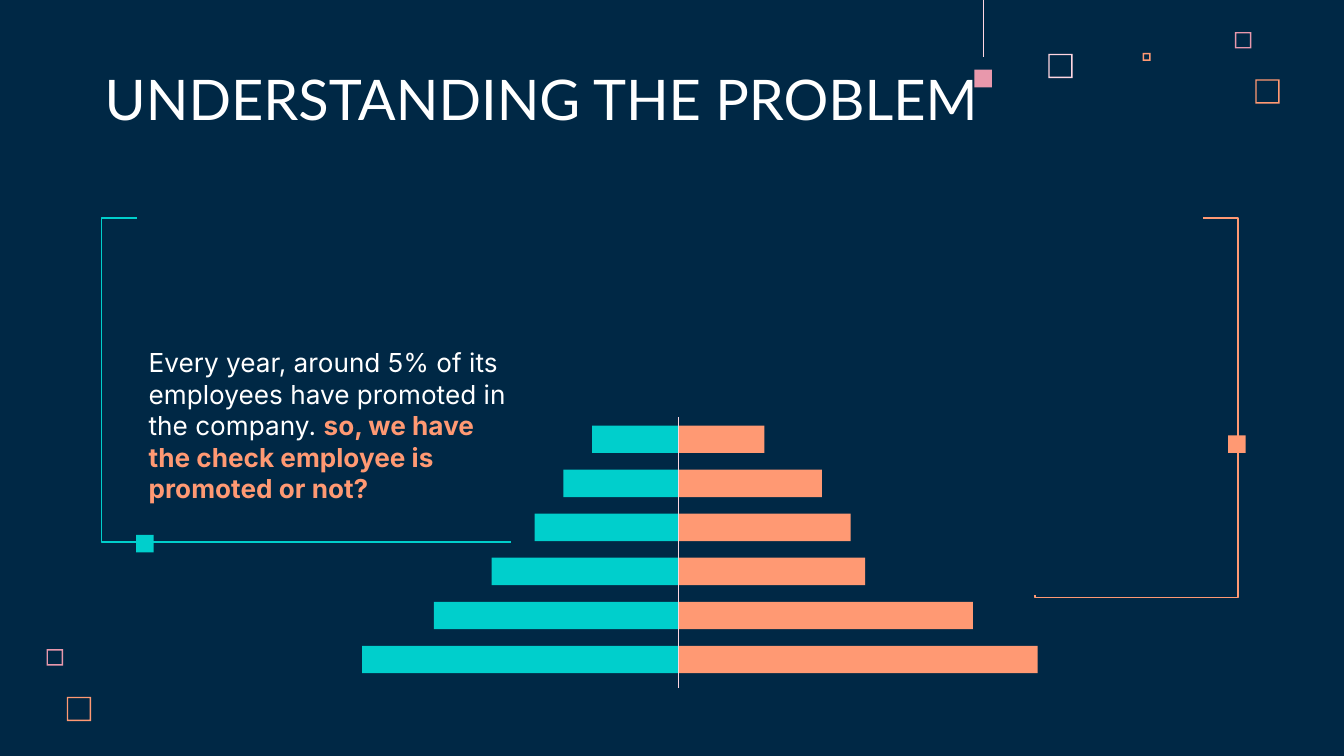
from dataclasses import dataclass

from pptx import Presentation
from pptx.dml.color import RGBColor
from pptx.enum.shapes import MSO_CONNECTOR, MSO_SHAPE
from pptx.enum.text import MSO_ANCHOR
from pptx.oxml.ns import qn
from pptx.util import Pt


@dataclass(frozen=True)
class Theme:
    navy: str = "002845"
    white: str = "FFFFFF"
    blush: str = "FFD6E1"
    pink: str = "E898AC"
    orange: str = "FF9973"
    teal: str = "00CFCC"
    title_font: str = "Lato"
    body_font: str = "Inter"
    title_size: float = 30
    body_size: float = 14
    line_width: float = 0.75


THEME = Theme()

AXIS_X = 363.4
BAR_UNIT = 7.7
BAR_TOP = 228
BAR_PITCH = 23.6
BAR_HEIGHT = 14.7
LEFT_VALUES = (6, 8, 10, 13, 17, 22)
RIGHT_VALUES = (6, 10, 12, 13, 20.5, 25)


def add_block(slide, left, top, width, height, color, preset=MSO_SHAPE.RECTANGLE):
    block = slide.shapes.add_shape(preset, Pt(left), Pt(top), Pt(width), Pt(height))
    block.shadow.inherit = False
    block.fill.solid()
    block.fill.fore_color.rgb = RGBColor.from_string(color)
    block.line.fill.background()
    return block


def add_marker(slide, left, top, color):
    add_block(slide, left, top, 9.4, 9.4, color)


def add_hollow_square(slide, left, top, size, color):
    square = add_block(slide, left, top, size, size, color, MSO_SHAPE.FRAME)
    square.adjustments[0] = 0.75 / size


def add_line(slide, start, end, color, width=THEME.line_width, kind=MSO_CONNECTOR.STRAIGHT):
    line = slide.shapes.add_connector(kind, *(Pt(value) for value in (*start, *end)))
    line.line.color.rgb = RGBColor.from_string(color)
    line.line.width = Pt(width)
    properties = line._element.spPr
    properties.append(properties.makeelement(qn("a:effectLst"), {}))
    return line


def add_bracket(slide, start, end, color, preset, adjustments):
    bracket = add_line(slide, start, end, color, kind=MSO_CONNECTOR.ELBOW)
    geometry = bracket._element.spPr.find(qn("a:prstGeom"))
    geometry.set("prst", preset)
    guides = geometry.get_or_add_avLst()
    for number, value in enumerate(adjustments, 1):
        attributes = {"name": f"adj{number}", "fmla": f"val {value}"}
        guides.append(guides.makeelement(qn("a:gd"), attributes))


def add_text_box(slide, left, top, width, height, anchor=MSO_ANCHOR.TOP):
    box = slide.shapes.add_textbox(Pt(left), Pt(top), Pt(width), Pt(height))
    frame = box.text_frame
    frame.word_wrap = True
    frame.vertical_anchor = anchor
    frame.margin_left = frame.margin_right = Pt(7.2)
    frame.margin_top = frame.margin_bottom = Pt(7.2)
    return frame.paragraphs[0]


def add_span(para, text, *, font, size, color=THEME.white, bold=False):
    span = para.add_run()
    span.text = text
    span.font.name = font
    span.font.size = Pt(size)
    span.font.bold = bold
    span.font.color.rgb = RGBColor.from_string(color)


def add_decoration(slide):
    squares = (
        (561.6, 28.8, 13, THEME.blush),
        (661.6, 17.2, 8.8, THEME.pink),
        (612.2, 28.4, 4.2, THEME.orange),
        (672.5, 42.5, 13, THEME.orange),
        (25, 347.8, 8.8, THEME.pink),
        (35.8, 373.3, 13, THEME.orange),
    )
    for square in squares:
        add_hollow_square(slide, *square)
    add_marker(slide, 522, 37.4, THEME.pink)
    add_line(slide, (527, 0), (527, 30.8), THEME.blush, width=0.5)


def add_pyramid(slide):
    for row, (left, right) in enumerate(zip(LEFT_VALUES, RIGHT_VALUES)):
        top = BAR_TOP + row * BAR_PITCH
        left_width, right_width = left * BAR_UNIT, right * BAR_UNIT
        add_block(slide, AXIS_X - left_width, top, left_width, BAR_HEIGHT, THEME.teal)
        add_block(slide, AXIS_X, top, right_width, BAR_HEIGHT, THEME.orange)
    add_line(slide, (AXIS_X, 223.4), (AXIS_X, 368.6), THEME.blush)


def add_brackets(slide):
    add_bracket(slide, (73.4, 116.8), (273.8, 290.4), THEME.teal,
                "bentConnector3", (-9400,))
    add_bracket(slide, (644.5, 116.8), (554.4, 318.8), THEME.orange,
                "bentConnector4", (-20800, 100700))
    add_marker(slide, 72.9, 286.6, THEME.teal)
    add_marker(slide, 658, 233.2, THEME.orange)


def main():
    deck = Presentation()
    deck.slide_width, deck.slide_height = Pt(720), Pt(405)
    page = deck.slides.add_slide(deck.slide_layouts[6])
    page.background.fill.solid()
    page.background.fill.fore_color.rgb = RGBColor.from_string(THEME.navy)

    add_decoration(page)

    title = add_text_box(page, 49, 32.4, 484.6, 45.4, MSO_ANCHOR.BOTTOM)
    add_span(title, "UNDERSTANDING THE PROBLEM", font=THEME.title_font, size=THEME.title_size)

    body = add_text_box(page, 72.6, 178.6, 206.6, 87.8)
    body_format = {"font": THEME.body_font, "size": THEME.body_size}
    add_span(body, "Every year, around 5% of its employees have promoted in the company. ",
             **body_format)
    add_span(body, "so, we have the check employee is promoted or not?",
             color=THEME.orange, bold=True, **body_format)

    add_pyramid(page)
    add_brackets(page)
    deck.save("out.pptx")


if __name__ == "__main__":
    main()
